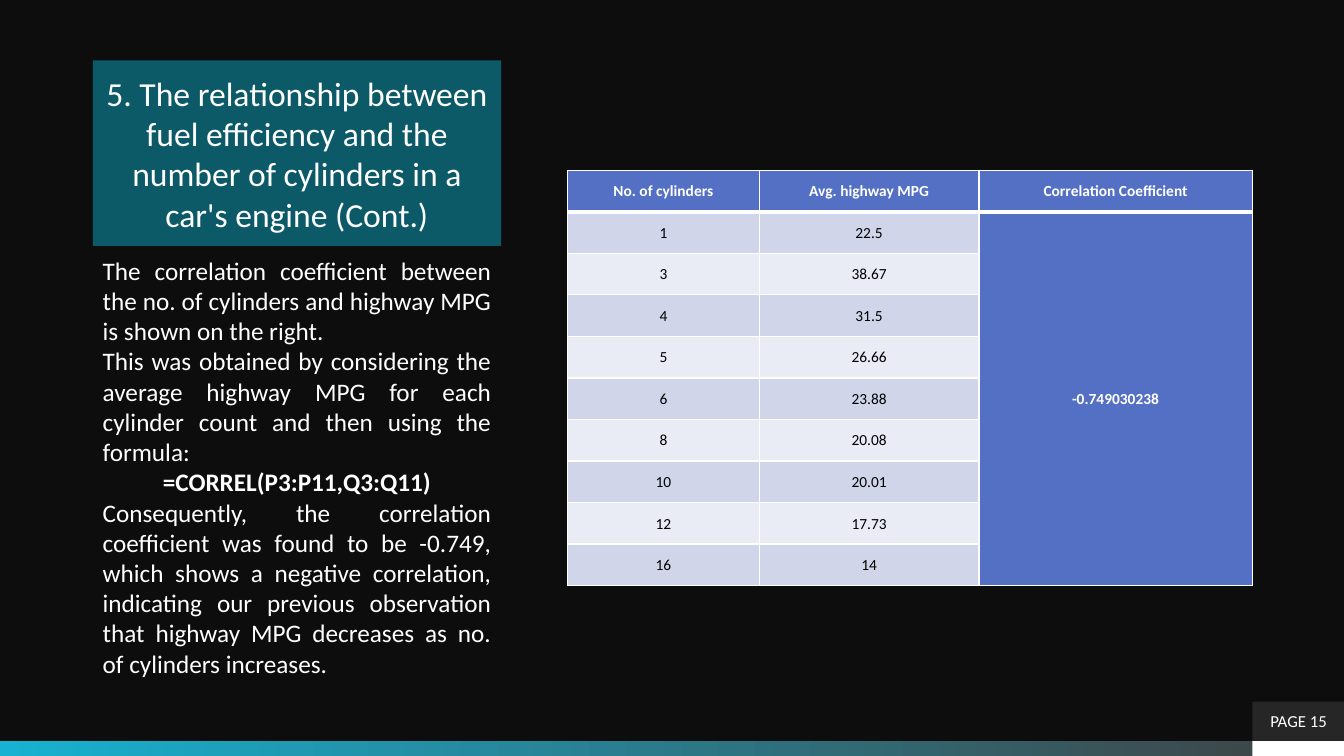
from typing import NamedTuple

from lxml.etree import SubElement
from pptx import Presentation
from pptx.dml.color import RGBColor
from pptx.enum.shapes import MSO_SHAPE
from pptx.enum.text import MSO_ANCHOR, MSO_AUTO_SIZE, PP_ALIGN
from pptx.oxml.ns import qn
from pptx.util import Inches, Pt

FONT = "Calibri"
WHITE, BLACK = "FFFFFF", "000000"
BLUE, BAND_DARK, BAND_LIGHT = "5370C5", "D1D5EA", "E9EBF5"
TITLE = ("5. The relationship between fuel efficiency and the number of "
         "cylinders in a car's engine (Cont.)")


class Box(NamedTuple):
    left: float
    top: float
    width: float
    height: float

    def lengths(self) -> list:
        return [Inches(value) for value in self]


class Passage(NamedTuple):
    text: str
    alignment: PP_ALIGN = PP_ALIGN.JUSTIFY
    bold: bool = False


PASSAGES = [
    Passage("The correlation coefficient between the no. of cylinders and "
            "highway MPG is shown on the right."),
    Passage("This was obtained by considering the average highway MPG for each "
            "cylinder count and then using the formula:"),
    Passage("=CORREL(P3:P11,Q3:Q11)", PP_ALIGN.CENTER, True),
    Passage("Consequently, the correlation coefficient was found to be -0.749, "
            "which shows a negative correlation, indicating our previous "
            "observation that highway MPG decreases as no. of cylinders "
            "increases."),
]
HEADERS = ["No. of cylinders", "Avg. highway MPG", "Correlation Coefficient"]
COLUMN_WIDTHS = [1.9, 2.18, 2.71]
HIGHWAY_MPG = [("1", "22.5"), ("3", "38.67"), ("4", "31.5"), ("5", "26.66"),
               ("6", "23.88"), ("8", "20.08"), ("10", "20.01"),
               ("12", "17.73"), ("16", "14")]
CORRELATION = "-0.749030238"


def color(value: str) -> RGBColor:
    return RGBColor.from_string(value)


def fill_solid(target, value: str) -> None:
    target.fill.solid()
    target.fill.fore_color.rgb = color(value)


def style(paragraph, size: float, value: str = WHITE, bold: bool = False,
          alignment: PP_ALIGN = PP_ALIGN.CENTER) -> None:
    paragraph.alignment = alignment
    font = paragraph.font
    font.name, font.size, font.bold = FONT, Pt(size), bold
    font.color.rgb = color(value)


def add_rectangle(slide, box: Box, fill: str):
    shape = slide.shapes.add_shape(MSO_SHAPE.RECTANGLE, *box.lengths())
    shape.shadow.inherit = False
    shape.line.fill.background()
    fill_solid(shape, fill)
    return shape


def add_footer(slide) -> None:
    strip = add_rectangle(slide, Box(0, 7.35, 13.33, 0.15), WHITE)
    strip.fill.gradient()
    strip.fill.gradient_angle = 0
    for stop, value in zip(strip.fill.gradient_stops, ["17B2D1", "404040"]):
        stop.color.rgb = color(value)
    add_rectangle(slide, Box(12.42, 7.35, 0.92, 0.15), WHITE)
    page = add_rectangle(slide, Box(12.42, 6.96, 0.92, 0.39), "262626")
    page.text_frame.text = "PAGE 15"
    page.text_frame.vertical_anchor = MSO_ANCHOR.MIDDLE
    style(page.text_frame.paragraphs[0], 12)


def add_title(slide) -> None:
    title = slide.shapes.title
    title.left, title.top, title.width, title.height = Box(
        0.92, 0.6, 4.05, 1.84).lengths()
    fill_solid(title, "0C5968")
    frame = title.text_frame
    frame.text = TITLE
    frame.auto_size = MSO_AUTO_SIZE.NONE
    frame.margin_top = frame.margin_bottom = Inches(0.12)
    style(frame.paragraphs[0], 24)


def add_explanation(slide) -> None:
    text_box = slide.shapes.add_textbox(*Box(0.92, 2.48, 4.05, 4.34).lengths())
    frame = text_box.text_frame
    frame.word_wrap = True
    frame.auto_size = MSO_AUTO_SIZE.SHAPE_TO_FIT_TEXT
    for index, passage in enumerate(PASSAGES):
        paragraph = frame.add_paragraph() if index else frame.paragraphs[0]
        paragraph.text = passage.text
        style(paragraph, 18, bold=passage.bold, alignment=passage.alignment)


def set_borders(cell, top: float, bottom: float) -> None:
    """Draw white borders; top and bottom widths are in points."""
    properties = cell._tc.get_or_add_tcPr()
    widths = {"a:lnL": 1, "a:lnR": 1, "a:lnT": top, "a:lnB": bottom}
    for tag, width in widths.items():
        line = SubElement(properties, qn(tag), w=str(Pt(width)))
        fill = SubElement(line, qn("a:solidFill"))
        SubElement(fill, qn("a:srgbClr"), val=WHITE)


def format_cell(cell, text: str, row: int, fill: str, emphasis: bool) -> None:
    set_borders(cell, top=3 if row == 1 else 1, bottom=3 if row == 0 else 1)
    fill_solid(cell, fill)
    cell.margin_left = cell.margin_right = cell.margin_top = Inches(0.01)
    cell.margin_bottom = 0
    cell.vertical_anchor = MSO_ANCHOR.MIDDLE
    cell.text = text
    style(cell.text_frame.paragraphs[0], 11, WHITE if emphasis else BLACK, emphasis)


def add_mpg_table(slide) -> None:
    rows = [HEADERS] + [[*pair, ""] for pair in HIGHWAY_MPG]
    rows[1][2] = CORRELATION
    box = Box(5.63, 1.69, sum(COLUMN_WIDTHS), 4.12)
    table = slide.shapes.add_table(len(rows), len(HEADERS), *box.lengths()).table
    table.horz_banding = False
    for column, width in zip(table.columns, COLUMN_WIDTHS):
        column.width = Inches(width)
    for row, texts in enumerate(rows):
        band = BAND_DARK if row % 2 else BAND_LIGHT
        for column, text in enumerate(texts):
            emphasis = row == 0 or column == 2
            format_cell(table.cell(row, column), text, row,
                        BLUE if emphasis else band, emphasis)
    table.cell(1, 2).merge(table.cell(len(rows) - 1, 2))


def main() -> None:
    presentation = Presentation()
    presentation.slide_width = Inches(13.33)
    presentation.slide_height = Inches(7.5)
    slide = presentation.slides.add_slide(
        presentation.slide_layouts.get_by_name("Title Only"))
    fill_solid(slide.background, "0D0D0D")
    add_footer(slide)
    add_title(slide)
    add_explanation(slide)
    add_mpg_table(slide)
    presentation.save("out.pptx")


if __name__ == "__main__":
    main()
